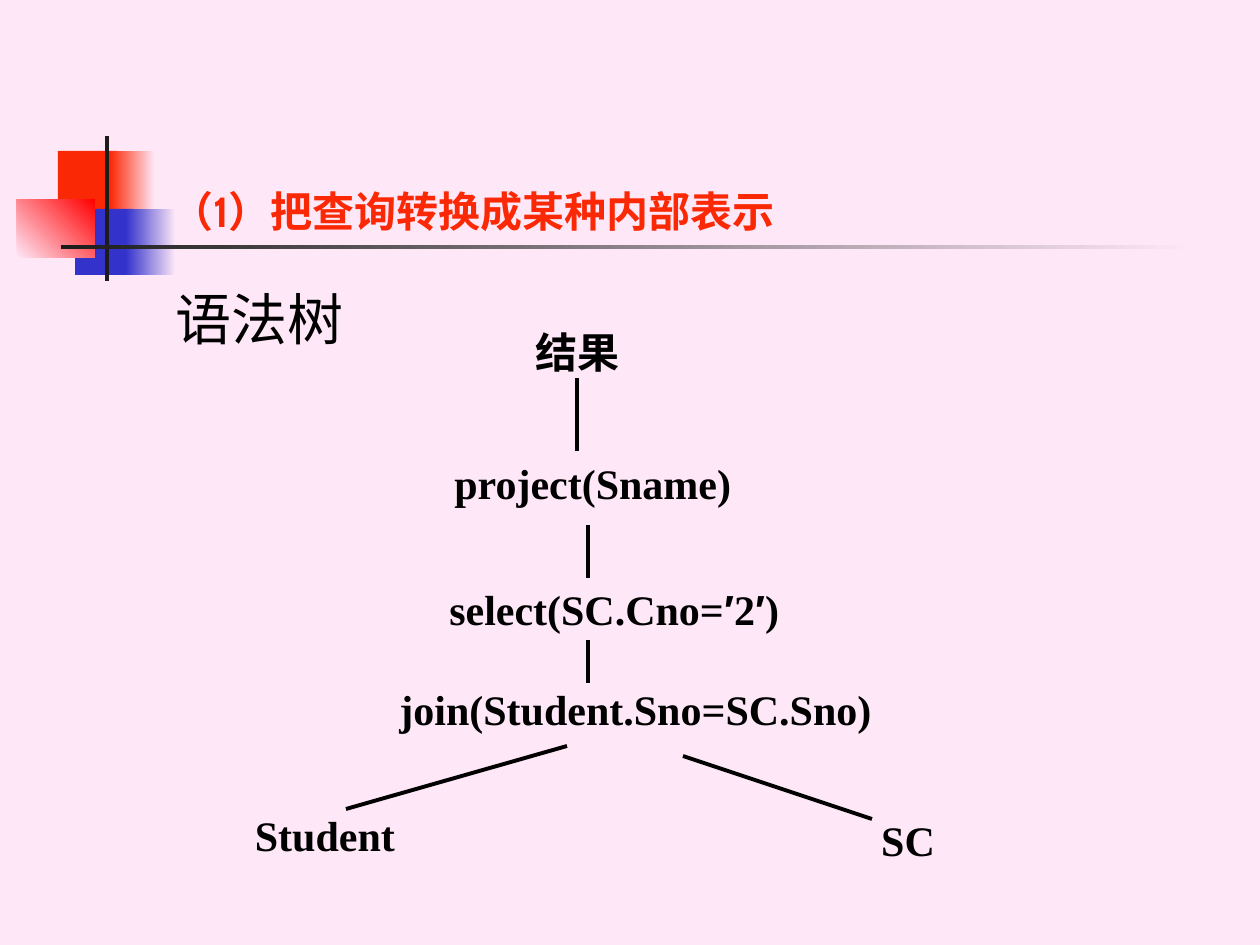
from dataclasses import dataclass
from itertools import groupby

from lxml.etree import SubElement
from pptx import Presentation
from pptx.dml.color import RGBColor
from pptx.enum.shapes import MSO_CONNECTOR, MSO_SHAPE
from pptx.enum.text import MSO_ANCHOR as ANCHOR, PP_ALIGN as ALIGN
from pptx.oxml.ns import qn
from pptx.util import Pt

EMU_PER_PX = 914400 / 126


@dataclass(frozen=True)
class Theme:
    background: str = "FEE8F7"
    red: str = "FB2805"
    bright_red: str = "FF0000"
    blue: str = "3333CC"
    dark: str = "1C1C1C"
    ink: str = "000000"
    heading_font: str = "Cabin"
    node_font: str = "Times New Roman"
    prime_font: str = "Arial"
    body_size: int = 32
    node_size: int = 24
    branch_width: float = 2.25


THEME = Theme()
PRIME = "′"

TITLE = ("（1）把查询转换成某种内部表示", (159, 84, 1074, 158))
SUBTITLE = ("语法树", (163, 278, 1071, 567))

# Decoration: box, colours (one is solid, two fade), fade angle
ORNAMENTS = [
    ((58, 151, 60, 66), (THEME.red,), 0),
    ((110, 151, 45, 66), (THEME.red, THEME.background), 0),
    ((75, 209, 58, 66), (THEME.blue,), 0),
    ((126, 209, 50, 66), (THEME.blue, THEME.background), 0),
    ((17, 199, 78, 59), (THEME.background, THEME.bright_red), 45),
    ((105, 136, 4, 145), (THEME.dark,), 0),
    ((61, 245, 1134, 4), (THEME.dark, THEME.background), 0),
]

# Syntax tree: operators and relations, then the branches between them
NODES = [
    ("结果", (483, 315, 189, 73)),
    ("project(Sname) ", (451, 451, 294, 63)),
    ("select(SC.Cno=′2′) ", (441, 567, 357, 84)),
    (" join(Student.Sno=SC.Sno) ", (420, 672, 431, 73)),
    ("Student", (262, 798, 126, 73)),
    ("SC", (829, 798, 158, 84)),
]
BRANCHES = [
    (577, 378, 577, 451),
    (588, 525, 588, 578),
    (588, 640, 588, 683),
    (567, 746, 346, 809),
    (683, 756, 872, 819),
]


def px(*lengths):
    return [round(length * EMU_PER_PX) for length in lengths]


def rgb(colour):
    return RGBColor.from_string(colour)


def add_block(slide, box):
    """Add a rectangle without outline or shadow."""
    block = slide.shapes.add_shape(MSO_SHAPE.RECTANGLE, *px(*box))
    block.shadow.inherit = False
    block.line.fill.background()
    return block


def add_ornament(slide, box, colours, angle):
    fill = add_block(slide, box).fill
    if len(colours) == 1:
        fill.solid()
        fill.fore_color.rgb = rgb(colours[0])
        return
    fill.gradient()
    fill.gradient_angle = angle
    for stop, colour in zip(fill.gradient_stops, colours):
        stop.color.rgb = rgb(colour)


def write_line(frame, text, anchor, align, font, size, colour, bold):
    """Write one line of text; prime marks get their own font."""
    frame.vertical_anchor = anchor
    line = frame.paragraphs[0]
    line.alignment = align
    line.font.size = Pt(size)
    line.font.bold = bold
    line.font.color.rgb = rgb(colour)
    line.font.name = font
    for is_prime, letters in groupby(text, lambda letter: letter == PRIME):
        run = line.add_run()
        run.text = "".join(letters)
        if is_prime:
            run.font.name = THEME.prime_font


def add_heading(slide, text, box, *style):
    frame = slide.shapes.add_textbox(*px(*box)).text_frame
    frame.word_wrap = True
    write_line(frame, text, *style)


def add_node(slide, text, box):
    """Add an unfilled rectangle whose label may run past its sides."""
    node = add_block(slide, box)
    node.fill.background()
    node.text_frame.word_wrap = False
    write_line(node.text_frame, text, ANCHOR.MIDDLE, ALIGN.CENTER,
               THEME.node_font, THEME.node_size, THEME.ink, True)


def add_branch(slide, ends):
    branch = slide.shapes.add_connector(MSO_CONNECTOR.STRAIGHT, *px(*ends))
    branch.line.color.rgb = rgb(THEME.ink)
    branch.line.width = Pt(THEME.branch_width)
    SubElement(branch._element.spPr, qn("a:effectLst"))


def main():
    deck = Presentation()
    deck.slide_width, deck.slide_height = px(1260, 945)
    slide = deck.slides.add_slide(deck.slide_layouts[6])
    slide.background.fill.solid()
    slide.background.fill.fore_color.rgb = rgb(THEME.background)

    for ornament in ORNAMENTS:
        add_ornament(slide, *ornament)
    add_heading(slide, *TITLE, ANCHOR.BOTTOM, ALIGN.LEFT,
                THEME.heading_font, THEME.node_size, THEME.red, True)
    add_heading(slide, *SUBTITLE, ANCHOR.TOP, ALIGN.JUSTIFY,
                THEME.heading_font, THEME.body_size, THEME.ink, False)
    for node in NODES:
        add_node(slide, *node)
    for branch in BRANCHES:
        add_branch(slide, branch)
    deck.save("out.pptx")


if __name__ == "__main__":
    main()
